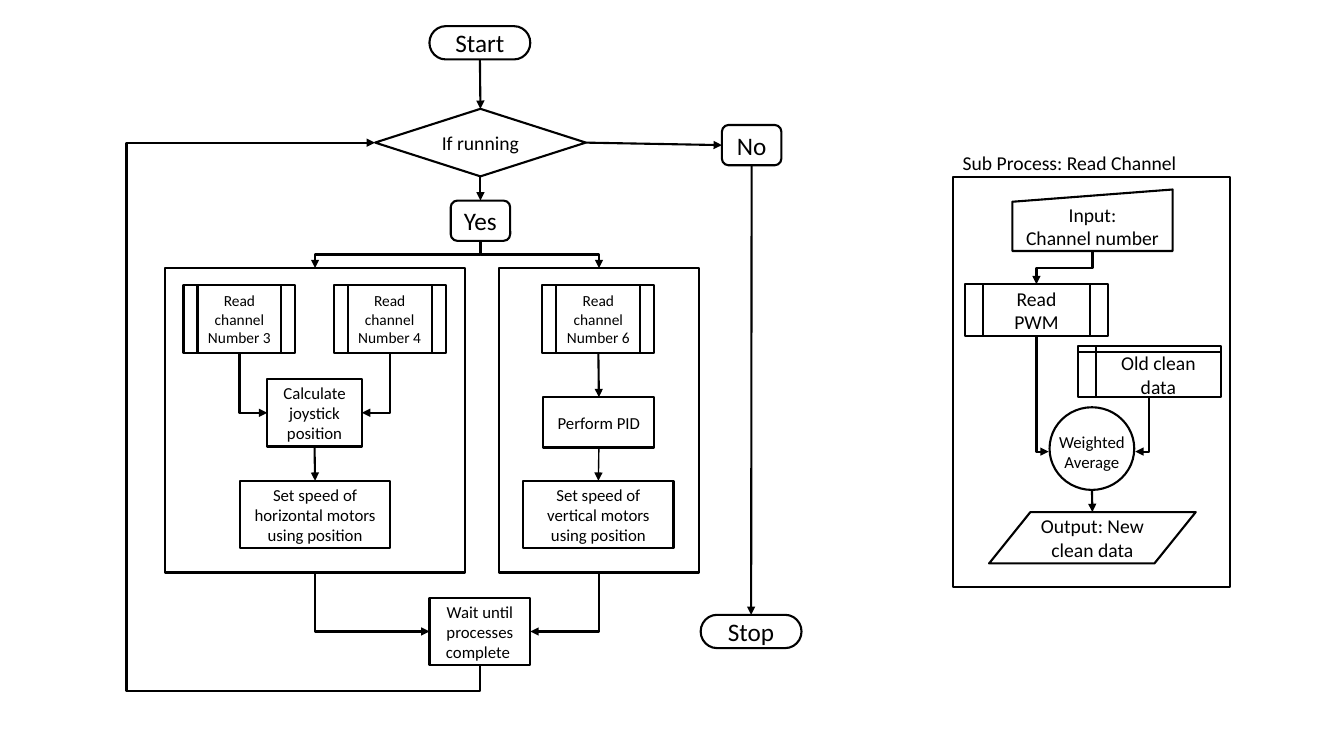
from lxml import etree
from pptx import Presentation
from pptx import util as u
from pptx.dml.color import RGBColor
from pptx.enum import shapes, text
from pptx.oxml.ns import qn

HUE = {"ink": "000000"}
KIND = shapes.MSO_SHAPE
SITE = {"top": (0.5, 0), "left": (0, 0.5), "bottom": (0.5, 1), "right": (1, 0.5)}


class Chart:
    font = "Calibri"
    ink = RGBColor.from_string(HUE["ink"])

    def __init__(self, slide):
        self.shapes = slide.shapes

    def letter(self, shape, words, size, align):
        frame = shape.text_frame
        frame.text = words
        form = {"name": self.font, "size": u.Pt(size)}
        for para in frame.paragraphs:
            para.alignment = align
            for run in para.runs:
                for key, val in form.items():
                    setattr(run.font, key, val)
                run.font.color.rgb = self.ink

    def stroke(self, line, width=1.5):
        line.color.rgb = self.ink
        line.width = u.Pt(width)

    def box(self, kind, x, y, w, h, words="", size=12):
        shape = self.shapes.add_shape(kind, *map(u.Inches, (x, y, w, h)))
        shape.shadow.inherit = False
        shape.fill.background()
        self.stroke(shape.line)
        shape.text_frame.vertical_anchor = text.MSO_ANCHOR.MIDDLE
        if words:
            self.letter(shape, words, size, text.PP_ALIGN.CENTER)
        return shape

    def label(self, x, y, w, h, words, size, align):
        shape = self.shapes.add_textbox(*map(u.Inches, (x, y, w, h)))
        shape.text_frame.word_wrap = False
        shape.text_frame.auto_size = text.MSO_AUTO_SIZE.SHAPE_TO_FIT_TEXT
        self.letter(shape, words, size, align)
        return shape

    def point(self, shape, side):
        fx, fy = SITE[side]
        return (int(shape.left + fx * shape.width),
                int(shape.top + fy * shape.height))

    def arrow(self, kind, start, end, width=1.5):
        line = self.shapes.add_connector(kind, *start, *end)
        self.stroke(line.line, width)
        prop = line._element.spPr
        etree.SubElement(prop.find(qn("a:ln")), qn("a:tailEnd"), type="triangle")
        etree.SubElement(prop, qn("a:effectLst"))
        return line

    def link(self, a, b, width=1.5, sides=("bottom", "top")):
        """Straight arrow from one side of a to one side of b."""
        self.arrow(shapes.MSO_CONNECTOR.STRAIGHT, self.point(a, sides[0]),
                   self.point(b, sides[1]), width)

    def bend(self, a, b, side, kind=2, adjust=()):
        """Elbow arrow that leaves the bottom of a, as a turned bentConnector."""
        (x1, y1), (x2, y2) = self.point(a, "bottom"), self.point(b, side)
        line = self.arrow(shapes.MSO_CONNECTOR.ELBOW, (x1, y1), (x2, y2))
        w, h = abs(y2 - y1), abs(x2 - x1)
        place = {"left": (x1 + x2 - w) // 2, "top": (y1 + y2 - h) // 2,
                 "width": w, "height": h}
        for key, val in place.items():
            setattr(line, key, val)
        frame = line._element.spPr.find(qn("a:xfrm"))
        right, up = x2 > x1, y2 < y1
        form = {"rot": str((270 if right else 90) * 60000),
                "flipH": str(int(right != up)), "flipV": "0"}
        for key, val in form.items():
            frame.set(key, val)
        geom = line._element.spPr.find(qn("a:prstGeom"))
        geom.set("prst", f"bentConnector{kind}")
        for num, val in enumerate(adjust, 1):
            etree.SubElement(geom.find(qn("a:avLst")), qn("a:gd"),
                             name=f"adj{num}", fmla=f"val {round(val * 100000)}")


def draw_sub(c):
    c.box(KIND.FLOWCHART_PROCESS, 9.45, 1.76, 2.75, 4.06)
    c.label(9.45, 1.45, 2.34, 0.34, "Sub Process: Read Channel", 14,
            text.PP_ALIGN.LEFT)
    enter = c.box(KIND.FLOWCHART_MANUAL_INPUT, 10.04, 1.88, 1.59, 0.61,
                  "Input:\nChannel number", 14)
    pwm = c.box(KIND.FLOWCHART_PREDEFINED_PROCESS, 9.57, 2.82, 1.42, 0.51,
                "Read PWM", 14)
    old = c.box(KIND.FLOWCHART_INTERNAL_STORAGE, 10.69, 3.43, 1.42, 0.51,
                "Old clean data", 14)
    ring = c.box(KIND.FLOWCHART_CONNECTOR, 10.41, 4.04, 0.84, 0.82)
    mean = c.label(10.4, 4.23, 0.86, 0.5, "Weighted\nAverage", 12,
                   text.PP_ALIGN.CENTER)
    out = c.box(KIND.FLOWCHART_DATA, 9.81, 5.08, 2.05, 0.51,
                "Output: New clean data", 14)
    c.bend(enter, pwm, "top", 3)
    c.bend(old, mean, "right")
    c.bend(pwm, mean, "left")
    c.link(ring, out)


def draw_main(c):
    step, read = KIND.FLOWCHART_PROCESS, KIND.FLOWCHART_PREDEFINED_PROCESS
    end, answer = KIND.FLOWCHART_TERMINATOR, KIND.FLOWCHART_ALTERNATE_PROCESS
    tall = 0.67

    start = c.box(end, 4.26, 0.26, 1, 0.33, "Start", 18)
    test = c.box(KIND.FLOWCHART_DECISION, 3.72, 1.08, 2.09, tall, "If running", 14)
    no = c.box(answer, 7.16, 1.24, 0.59, 0.4, "No", 18)
    stop = c.box(end, 6.95, 6.1, 1, 0.33, "Stop", 18)
    yes = c.box(answer, 4.47, 1.99, 0.59, 0.4, "Yes", 18)

    level = c.box(step, 1.64, 2.66, 2.97, 3.02)
    lift = c.box(step, 4.95, 2.66, 1.98, 3.02)
    three, four, six = [
        c.box(read, x, 2.83, 1.11, tall, f"Read channel\nNumber {num}", 11)
        for x, num in ((1.82, 3), (3.31, 4), (5.38, 6))]
    stick = c.box(step, 2.65, 3.76, 0.94, tall, "Calculate joystick position")
    pid = c.box(step, 5.39, 3.94, 1.1, 0.5, "Perform PID")
    flat, rise = [
        c.box(step, x, 4.77, 1.49, tall, f"Set speed of {way} motors using position")
        for x, way in ((2.38, "horizontal"), (5.19, "vertical"))]
    wait = c.box(step, 4.26, 5.93, 1, tall, "Wait until processes\ncomplete ")

    for a, b in ((start, test), (test, yes), (no, stop), (stick, flat), (six, pid)):
        c.link(a, b)
    c.link(pid, rise, 1)
    c.link(test, no, sides=("right", "left"))
    for panel in (level, lift):
        c.bend(yes, panel, "top", 3)
    for a, b, side in ((three, stick, "left"), (four, stick, "right"),
                       (level, wait, "left"), (lift, wait, "right")):
        c.bend(a, b, side)
    c.bend(wait, test, "left", 4, (-0.05, 3.37))


def main():
    deck = Presentation()
    deck.slide_width, deck.slide_height = u.Inches(13.33), u.Inches(7.5)
    chart = Chart(deck.slides.add_slide(deck.slide_layouts[6]))
    draw_sub(chart)
    draw_main(chart)
    deck.save("out.pptx")


if __name__ == "__main__":
    main()
